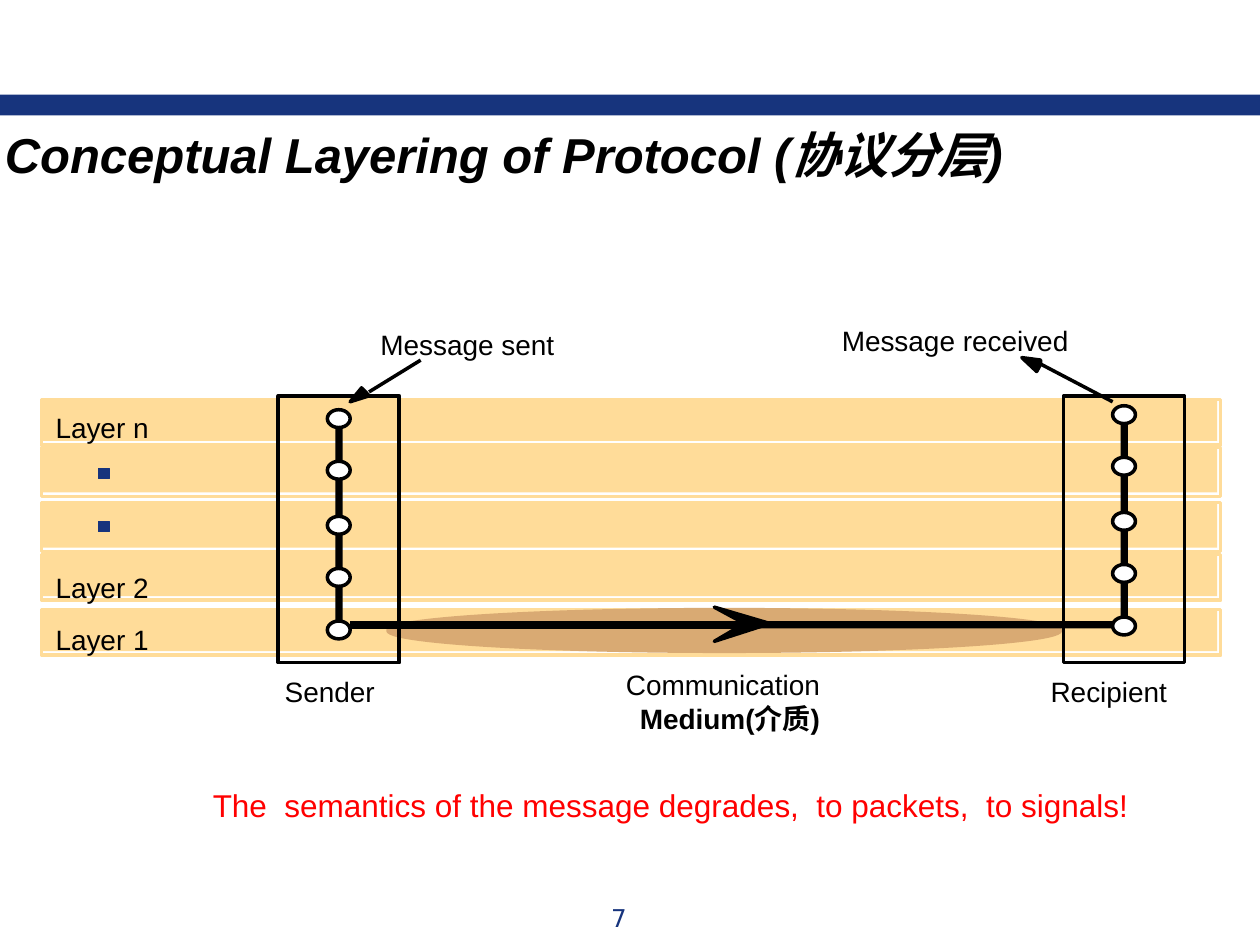
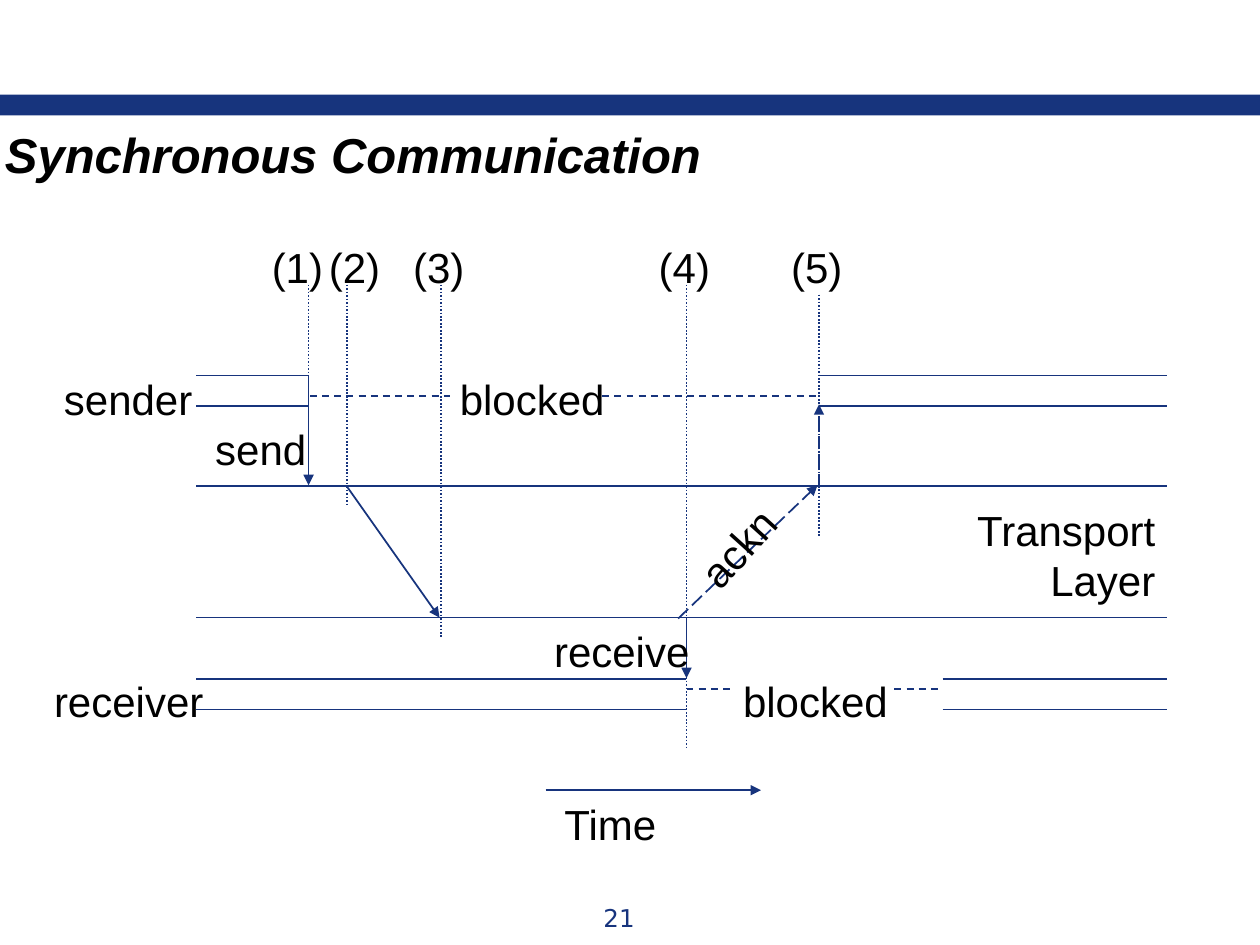
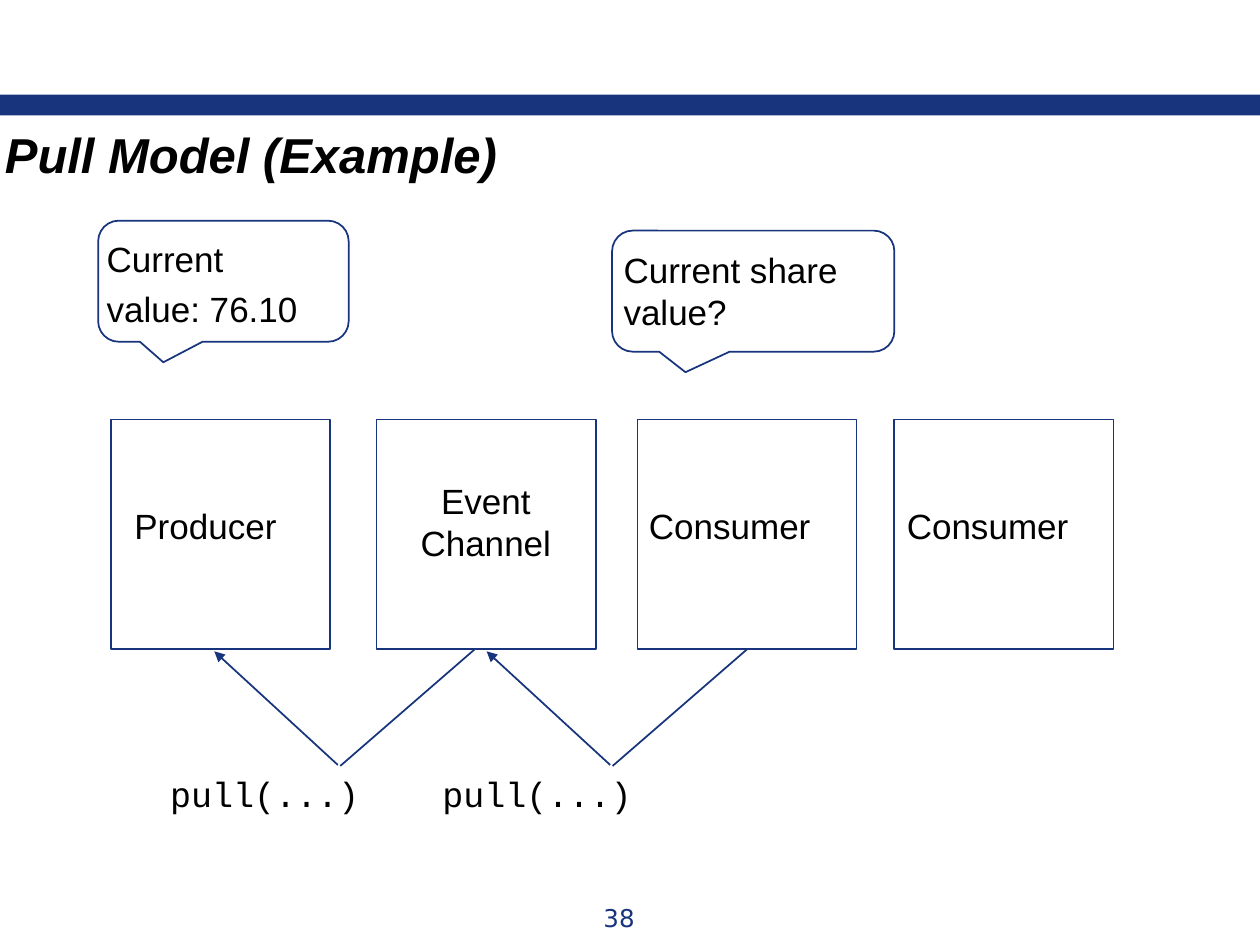
"""Builds three slides on message layering, synchronous communication and the pull model."""
import pptx
import pptx.util
import pptx.dml.color
import pptx.enum.dml
import pptx.enum.shapes
import pptx.enum.text
import pptx.oxml.ns
import lxml.etree

Cm, Pt = pptx.util.Cm, pptx.util.Pt
KIND = pptx.enum.shapes.MSO_SHAPE
DASH = pptx.enum.dml.MSO_LINE
ALIGN = pptx.enum.text.PP_ALIGN
qn = pptx.oxml.ns.qn

INK = {"navy": "17347D", "black": "000000", "white": "FFFFFF",
       "sand": "FFDC99", "tan": "D9AA73", "red": "FF0000"}

LAYERS = [(8.05, 0.84), (9.02, 0.91), (10.13, 0.91), (11.18, 0.84), (12.29, 0.84)]
NODES = [8.26, 9.3, 10.41, 11.46, 12.52]
STACKS = [(5.61, 6.6, 0), (21.44, 22.43, -0.08)]
DOTS = [9.45, 10.52]
HEADS = [
    [(15.52, 12.57), (14.4, 12.93), (15.01, 12.57), (14.4, 12.24)],
    [(20.98, 7.34), (20.9, 7.49), (20.6, 7.21), (20.98, 7.26)],
    [(7.37, 7.9), (7.44, 7.98), (7.06, 8.1), (7.29, 7.82)],
]
SHAFTS = [
    ((7.06, 12.65), (14.94, 12.65)),
    ((22.43, 8.1), (20.98, 7.34)),
    ((8.48, 7.26), (7.44, 7.9)),
]
NAMES = [
    ("Layer n", 1.12, 8.28, 2.03),
    ("Layer 2", 1.12, 11.51, 2.03),
    ("Layer 1", 1.12, 12.55, 2.03),
    ("Message sent", 7.67, 6.6, 3.81),
    ("Message received", 16.97, 6.53, 4.95),
    ("Communication", 12.62, 13.46, 4.24),
    ("Sender", 5.74, 13.59, 1.98),
    ("Recipient", 21.18, 13.59, 2.54),
]

RAILS = [
    (3.96, 6.2, (7.57, 8.18)),
    (16.51, 23.52, (7.57, 8.18)),
    (3.96, 23.52, (9.8, 12.45)),
    (3.96, 13.82, (13.69, 14.3)),
    (19, 23.52, (13.69, 14.3)),
]
MOVES = [
    ((6.22, 7.59), (6.22, 9.78), None),
    ((7.01, 9.83), (8.86, 12.45), None),
    ((13.84, 12.47), (13.84, 13.67), None),
    ((13.67, 12.47), (16.48, 9.78), DASH.LONG_DASH),
    ((16.51, 9.83), (16.51, 8.15), DASH.LONG_DASH),
    ((11, 15.93), (15.34, 15.93), None),
]
WAITS = [(6.25, 9.07, 7.98), (12.14, 16.48, 7.98),
         (13.84, 14.78, 13.89), (18.03, 18.95, 13.89)]
STEPS = [
    ("(1)", 5.23, 6.22, 5.74, 7.75),
    ("(2)", 6.38, 6.99, 5.74, 10.19),
    ("(3)", 8.08, 8.89, 5.74, 12.85),
    ("(4)", 13.03, 13.84, 5.74, 15.09),
    ("(5)", 15.7, 16.51, 5.94, 10.82),
]
TERMS = [
    ("Time", 11.13, 15.96, 2.39, 0),
    ("sender", 1.04, 7.4, 3.12, 0),
    ("send", 4.09, 8.41, 2.36, 0),
    ("receiver", 0.84, 13.49, 3.56, 0),
    ("blocked", 9.02, 7.4, 3.45, 0),
    ("receive", 10.92, 12.48, 3.28, 0),
    ("blocked", 14.73, 13.49, 3.45, 0),
    ("ackn", 13.72, 10.39, 2.31, 312),
]

PARTS = [2.24, 7.59, 12.85, 18.03]
ROLES = [("Producer", 2.46, 3.4), ("Consumer", 12.83, 3.78), ("Consumer", 18.03, 3.78)]
NOTES = [
    ("Current\nvalue: 76.10", (1.98, 4.45, 5.05, 2.44), (1.9, 4.65, 5.56, 2.13)),
    ("Current share value?", (12.34, 4.65, 5.69, 2.44), (12.32, 4.88, 5.54, 1.96)),
]
PULLS = [0, 5.49]


def ink(name):
    return pptx.dml.color.RGBColor.from_string(INK[name])


def paint(shape, fill=None, edge=None, width=2):
    shape.shadow.inherit = False
    if fill:
        shape.fill.solid()
        shape.fill.fore_color.rgb = ink(fill)
    else:
        shape.fill.background()
    if edge:
        shape.line.color.rgb = ink(edge)
        shape.line.width = Pt(width)
    else:
        shape.line.fill.background()
    return shape


def box(slide, at, kind=KIND.RECTANGLE, **look):
    return paint(slide.shapes.add_shape(kind, *map(Cm, at)), **look)


def text(slide, words, at, size=16, font="Arial", color="black", bold=False,
         slant=False, align=ALIGN.LEFT, pad=True, wrap=False, turn=0, gap=0):
    area = slide.shapes.add_textbox(*map(Cm, at))
    area.rotation = turn
    frame = area.text_frame
    frame.word_wrap = wrap
    frame.auto_size = pptx.enum.text.MSO_AUTO_SIZE.SHAPE_TO_FIT_TEXT
    frame.margin_left = frame.margin_right = Cm(0.25 if pad else 0)
    frame.margin_top = frame.margin_bottom = Cm(0.13 if pad else 0)
    for i, row in enumerate(words.split("\n")):
        para = frame.add_paragraph() if i else frame.paragraphs[0]
        para.alignment = align
        if i:
            para.space_before = Pt(gap)
        run = para.add_run()
        run.text = row
        run.font.name, run.font.size = font, Pt(size)
        run.font.bold, run.font.italic = bold, slant
        run.font.color.rgb = ink(color)


def line(slide, start, end, color="navy", width=1, dash=None, tip=None):
    link = slide.shapes.add_connector(pptx.enum.shapes.MSO_CONNECTOR.STRAIGHT,
                                      *map(Cm, (*start, *end)))
    link.line.color.rgb = ink(color)
    link.line.width = Pt(width)
    if dash:
        link.line.dash_style = dash
    props = link._element.spPr
    if tip:
        lxml.etree.SubElement(props.find(qn("a:ln")), qn("a:" + tip), type="triangle")
    lxml.etree.SubElement(props, qn("a:effectLst"))


def start(deck, title, page):
    slide = deck.slides.add_slide(deck.slide_layouts[6])
    box(slide, (0, 1.91, 25.4, 0.42), fill="navy")
    text(slide, page, (9.52, 18.08, 5.92, 0.86), size=14, font="DejaVu Sans",
         color="navy", align=ALIGN.CENTER, wrap=True)
    text(slide, title, (-0.15, 2.39, 20.88, 1.45), size=28, bold=True,
         slant=True, wrap=True)
    return slide


def layers(deck):
    slide = start(deck, "Conceptual Layering of Protocol (协议分层)", "7")
    for top, high in LAYERS:
        box(slide, (0.84, top, 23.7, high), fill="sand")
        box(slide, (0.84, top, 23.77, high + 0.08), edge="sand")
    box(slide, (7.82, 12.29, 13.56, 0.84), KIND.OVAL, fill="tan", edge="tan")
    box(slide, (7.06, 12.52, 15.6, 0.15), fill="black")
    for left, node, shift in STACKS:
        box(slide, (left, 7.98, 2.44, 5.38), edge="black")
        box(slide, (node + 0.16, 8.38, 0.15, 4.27), fill="black")
        for top in NODES:
            box(slide, (node, top + shift, 0.46, 0.36), KIND.OVAL,
                fill="white", edge="black")
    for first, *rest in HEADS:
        form = slide.shapes.build_freeform(*map(Cm, first))
        form.add_line_segments([tuple(map(Cm, spot)) for spot in rest])
        paint(form.convert_to_shape(), fill="black", edge="black")
    for tail, tip in SHAFTS:
        line(slide, tail, tip, color="black", width=2)
    for top in DOTS:
        box(slide, (1.98, top, 0.23, 0.2), fill="navy", edge="navy", width=0.75)
    for words, left, top, wide in NAMES:
        text(slide, words, (left, top, wide, 0.69), pad=False)
    text(slide, "Medium(介质)", (12.9, 14.15, 3.68, 0.69), bold=True,
         pad=False, wrap=True)
    text(slide, "The  semantics of the message degrades,  to packets,  to signals!",
         (4.04, 15.72, 19.71, 1.02), size=18, color="red", wrap=True)


def sync(deck):
    slide = start(deck, "Synchronous Communication", "21")
    for left, right, tops in RAILS:
        for top in tops:
            line(slide, (left, top), (right, top))
    for tail, tip, dash in MOVES:
        line(slide, tail, tip, dash=dash, tip="tailEnd")
    for left, right, top in WAITS:
        line(slide, (left, top), (right, top), dash=DASH.DASH)
    for words, left, mid, top, low in STEPS:
        line(slide, (mid, top), (mid, low), dash=DASH.ROUND_DOT)
        text(slide, words, (left, 4.73, 1.55, 1.27), size=24)
    for words, left, top, wide, turn in TERMS:
        text(slide, words, (left, top, wide, 1.27), size=24, turn=turn)
    text(slide, "Transport Layer", (17.42, 10.04, 6.12, 2.31), size=24,
         align=ALIGN.RIGHT, wrap=True)


def pull(deck):
    slide = start(deck, "Pull Model (Example)", "38")
    for left in PARTS:
        box(slide, (left, 8.46, 4.42, 4.62), edge="navy", width=1)
    for words, left, wide in ROLES:
        text(slide, words, (left, 10.04, wide, 1.09), size=20)
    text(slide, "Event Channel", (7.75, 9.53, 4.09, 1.96), size=20,
         align=ALIGN.CENTER, wrap=True)
    for words, frame, area in NOTES:
        note = box(slide, frame, KIND.ROUNDED_RECTANGULAR_CALLOUT, edge="navy", width=1)
        for i, value in enumerate((-0.24, 0.67, 0.17)):
            note.adjustments[i] = value
        text(slide, words, area, size=20, wrap=True, gap=5)
    for x in PULLS:
        line(slide, (x + 4.32, 13.13), (x + 6.81, 15.42), tip="headEnd")
        line(slide, (x + 6.86, 15.44), (x + 9.58, 13.08))
        text(slide, "pull(...)", (x + 3.18, 15.45, 4.37, 1.09), size=20,
             font="Courier New")


def main():
    deck = pptx.Presentation()
    deck.slide_width, deck.slide_height = Cm(25.4), Cm(19.05)
    for build in (layers, sync, pull):
        build(deck)
    deck.save("out.pptx")


if __name__ == "__main__":
    main()
